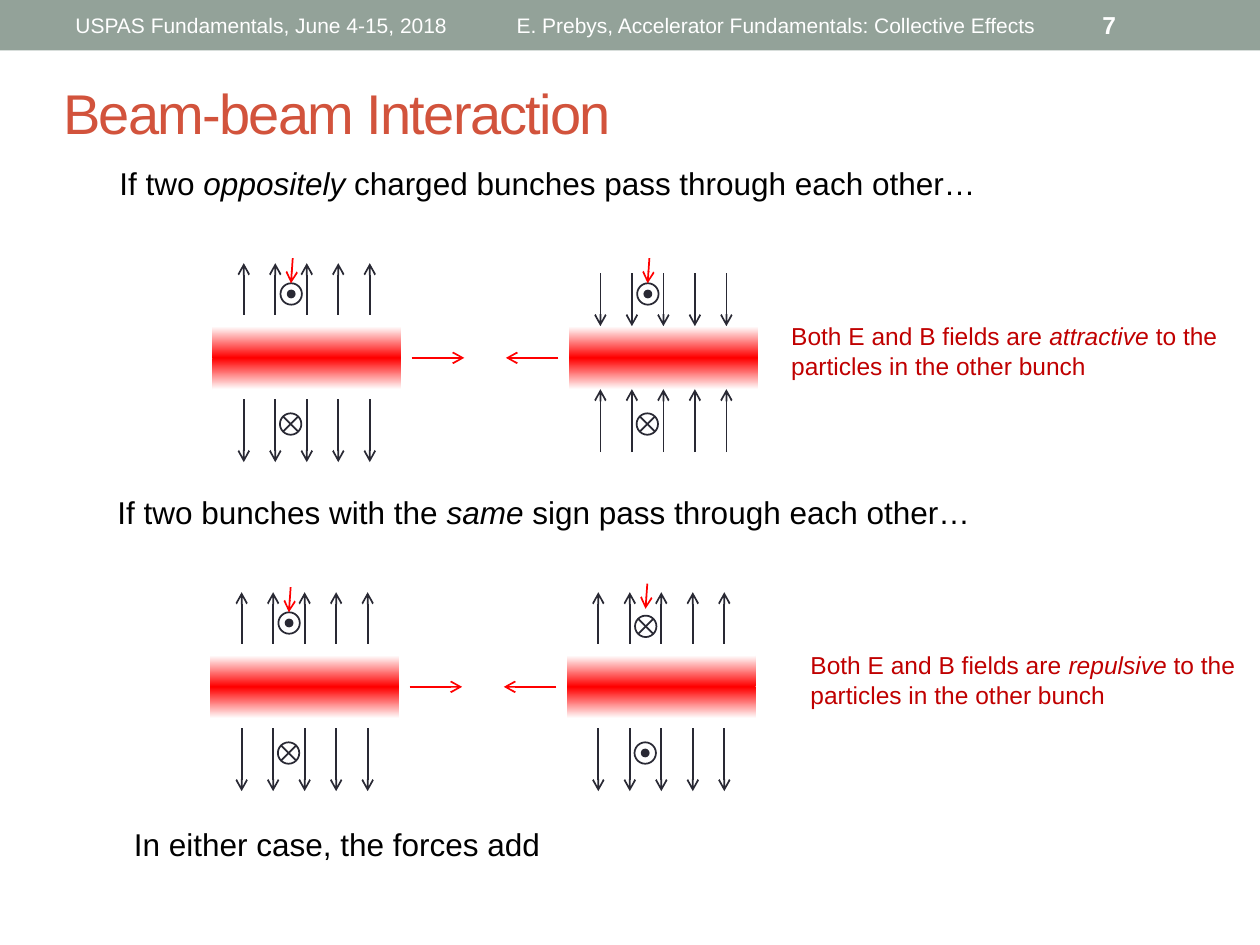
import pptx
import pptx.util
import pptx.dml.color
import pptx.enum.shapes
import pptx.enum.text
import pptx.oxml.ns
import pptx.oxml.xmlchemy

Pt = pptx.util.Pt
RGBColor = pptx.dml.color.RGBColor
SHAPE = pptx.enum.shapes.MSO_SHAPE
ALIGN = pptx.enum.text.PP_ALIGN
ANCHOR = pptx.enum.text.MSO_ANCHOR
AUTO_SIZE = pptx.enum.text.MSO_AUTO_SIZE

SAGE = RGBColor(0x93, 0xA2, 0x99)
RUST = RGBColor(0xD2, 0x53, 0x3C)
INK = RGBColor(0x29, 0x29, 0x34)
RED = RGBColor(0xFF, 0x00, 0x00)
DARK_RED = RGBColor(0xC0, 0x00, 0x00)
BLACK = RGBColor(0x00, 0x00, 0x00)
WHITE = RGBColor(0xFF, 0xFF, 0xFF)

# Bunch geometry, relative to the left and top of its box
BUNCH_WIDTH, BAND_HALF, BAND_MIDDLE = 108, 18, 57
FIELD_COUNT, FIELD_STEP = 5, 18
OUTWARD = ((32.4, 2.9), (80.6, 116.6))
INWARD = ((8.6, 38.9), (110.9, 74.9))
RING = 12.24


def write_spans(para, spans, **looks):
    """Each span is plain text, or text between asterisks for italics."""
    for number, text in enumerate(spans.split("*")):
        span = para.add_run()
        span.text = text
        span.font.color.rgb = looks["color"]
        formats = {"name": "Arial", "size": Pt(looks["size"]),
                   "bold": looks.get("bold", False), "italic": number % 2 == 1}
        for name, value in formats.items():
            setattr(span.font, name, value)


def add_text(page, box, spans, align=ALIGN.LEFT, anchor=ANCHOR.TOP,
             auto_size=AUTO_SIZE.SHAPE_TO_FIT_TEXT, **looks):
    frame = page.shapes.add_textbox(*map(Pt, box)).text_frame
    formats = {"word_wrap": True, "vertical_anchor": anchor, "auto_size": auto_size}
    for name, value in formats.items():
        setattr(frame, name, value)
    frame.paragraphs[0].alignment = align
    write_spans(frame.paragraphs[0], spans, **looks)


def add_line(page, start, end, color=INK, arrow=True):
    line = page.shapes.add_connector(
        pptx.enum.shapes.MSO_CONNECTOR.STRAIGHT, *map(Pt, (*start, *end)))
    line.line.color.rgb = color
    line.line.width = Pt(1)
    if arrow:
        head = pptx.oxml.xmlchemy.OxmlElement("a:tailEnd")
        head.set("type", "arrow")
        line.line._get_or_add_ln().append(head)
    line._element.spPr.append(pptx.oxml.xmlchemy.OxmlElement("a:effectLst"))


def add_plain(page, kind, box, fill=None, outline=None):
    shape = page.shapes.add_shape(kind, *map(Pt, box))
    shape.shadow.inherit = False
    if fill is None:
        shape.fill.background()
    else:
        shape.fill.solid()
        shape.fill.fore_color.rgb = fill
    if outline is None:
        shape.line.fill.background()
    else:
        shape.line.color.rgb = outline
        shape.line.width = Pt(1)
    return shape


def add_header(page, box):
    left, top, width, height = box
    add_plain(page, SHAPE.RECTANGLE, box, SAGE)
    items = (
        (36, 228, "USPAS Fundamentals, June 4-15, 2018", ALIGN.LEFT, 12, False),
        (270, 347, "E. Prebys, Accelerator Fundamentals: Collective Effects",
         ALIGN.CENTER, 12, False),
        (622.8, 61.2, "7", ALIGN.LEFT, 14, True),
    )
    for x, wide, text, align, size, bold in items:
        add_text(page, (left + x, top + 1.5, wide, height - 3), text, align,
                 ANCHOR.MIDDLE, AUTO_SIZE.NONE, color=WHITE, size=size, bold=bold)


def add_title(page, box, text):
    title = page.shapes.title
    for name, value in zip(("left", "top", "width", "height"), box):
        setattr(title, name, Pt(value))
    frame = title.text_frame
    frame.vertical_anchor = ANCHOR.MIDDLE
    para = frame.paragraphs[0]
    para.alignment = ALIGN.LEFT
    write_spans(para, text, color=RUST, size=32)
    para.runs[0]._r.find(pptx.oxml.ns.qn("a:rPr")).set("spc", "-100")


def add_field_mark(page, left, top, symbol):
    """Circle with a dot (out of the page) or a cross (into the page)."""
    add_plain(page, SHAPE.OVAL, (left, top, RING, RING), outline=INK)
    if symbol == "dot":
        add_plain(page, SHAPE.OVAL, (left + 4.1, top + 4.1, 4, 4), INK, INK)
    else:
        near, far = 1.8, RING - 1.8
        for first, last in ((near, far), (far, near)):
            add_line(page, (left + near, top + first), (left + far, top + last),
                     arrow=False)


def add_bunch(page, left, top, fields, marks, heading):
    # Glowing band: two halves fading away from the middle
    middle = top + BAND_MIDDLE
    for angle, centre in ((90, middle + BAND_HALF / 2), (270, middle - BAND_HALF / 2)):
        half = add_plain(page, SHAPE.RECTANGLE,
                         (left + (BUNCH_WIDTH - BAND_HALF) / 2,
                          centre - BUNCH_WIDTH / 2, BAND_HALF, BUNCH_WIDTH))
        half.rotation = angle
        half.fill.gradient()
        half.fill.gradient_angle = 0
        for stop, (place, color) in zip(half.fill.gradient_stops,
                                        ((0.01, RED), (1, WHITE))):
            stop.position = place
            stop.color.rgb = color

    # Electric field arrows above and below
    for start, end in fields:
        for column in range(1, FIELD_COUNT + 1):
            x = left + column * FIELD_STEP
            add_line(page, (x, top + start), (x, top + end))

    # Magnetic field marks
    upper, lower = marks
    crossed = upper == "cross"
    add_field_mark(page, left + 39, top + (16.3 if crossed else 14.4), upper)
    add_field_mark(page, left + 38.7, top + 88.7, lower)

    # Force arrow and direction of travel
    force = top - (2 if crossed else 0)
    add_line(page, (left + 46, force), (left + 45, force + 14.4), RED)
    edge = left + BUNCH_WIDTH if heading > 0 else left
    add_line(page, (edge + 6 * heading, middle), (edge + 36 * heading, middle), RED)


def add_case(page, left, top, statement, note, note_left, right_fields, right_marks):
    add_text(page, (left, top, 612, 29), statement, color=BLACK, size=18)
    bunch_left, bunch_top = left + 60.1, top + 57.5
    add_bunch(page, bunch_left, bunch_top, OUTWARD, ("dot", "cross"), 1)
    add_bunch(page, bunch_left + 203.8, bunch_top, right_fields, right_marks, -1)
    add_text(page, (note_left, top + 90, 264, 41), note, color=DARK_RED, size=14)


def main():
    deck = pptx.Presentation()
    deck.slide_width, deck.slide_height = Pt(720), Pt(540)
    page = deck.slides.add_slide(deck.slide_layouts[5])

    add_header(page, (0, 0, 720, 28.8))
    add_title(page, (28.8, 40.3, 620.6, 47.5), "Beam-beam Interaction")
    add_case(page, 61.2, 90,
             "If two *oppositely* charged bunches pass through each other…",
             "Both E and B fields are *attractive* to the particles in the other bunch",
             445, INWARD, ("dot", "cross"))
    add_case(page, 60, 278,
             "If two bunches with the *same* sign pass through each other…",
             "Both E and B fields are *repulsive* to the particles in the other bunch",
             456, OUTWARD, ("cross", "dot"))
    add_text(page, (69.5, 468, 612, 29), "In either case, the forces add",
             color=BLACK, size=18)

    deck.save("out.pptx")


if __name__ == "__main__":
    main()
